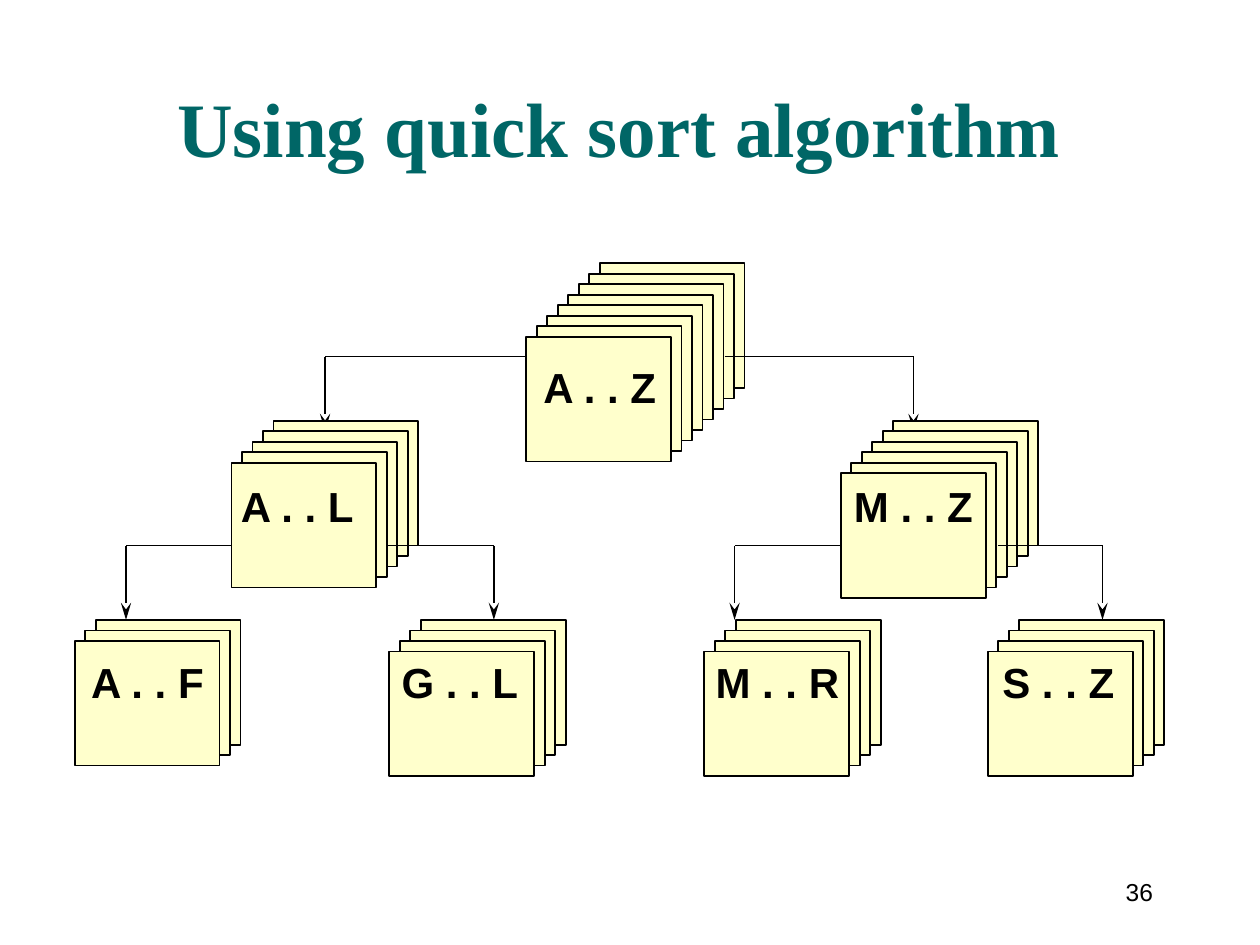
import dataclasses

import lxml.etree
import pptx
import pptx.dml.color
import pptx.enum.shapes
import pptx.enum.text
import pptx.oxml.ns
import pptx.util
from pptx.util import Inches

INK = "000000"
CARD_FILL = "FFFFCC"
TITLE_COLOUR = "006666"
CARD_WIDTH, CARD_HEIGHT = 1.15, 0.99
CARD_STEP = 1 / 12
LABEL_WIDTH, LABEL_HEIGHT = 1.4, 0.5
BRANCH_DROP = 0.59


@dataclasses.dataclass(frozen=True)
class Stack:
    """Cards running down and left from the rear card at left, top."""
    label: str
    left: float
    top: float
    cards: int
    label_centre: float


@dataclasses.dataclass(frozen=True)
class Branch:
    start: float
    end: float
    top: float


@dataclasses.dataclass(frozen=True)
class Level:
    label_middle: float
    stacks: tuple[Stack, ...]
    branches: tuple[Branch, ...] = ()


LEVELS = (
    Level(
        3.07,
        (Stack("A . . Z", 4.76, 2.09, 8, 4.76),),
        (Branch(4.17, 2.58, 2.83), Branch(5.75, 7.25, 2.83)),
    ),
    Level(
        4.01,
        (
            Stack("A . . L", 2.17, 3.34, 5, 2.36),
            Stack("M . . Z", 7.09, 3.34, 6, 7.25),
        ),
        (
            Branch(1.83, 1, 4.33),
            Branch(3.08, 3.92, 4.33),
            Branch(6.67, 5.83, 4.33),
            Branch(7.92, 8.75, 4.33),
        ),
    ),
    Level(
        5.41,
        (
            Stack("A . . F", 0.76, 4.92, 3, 1.17),
            Stack("G . . L", 3.34, 4.92, 4, 3.65),
            Stack("M . . R", 5.84, 4.92, 4, 6.17),
            Stack("S . . Z", 8.09, 4.92, 4, 8.4),
        ),
    ),
)


def colour(value: str) -> pptx.dml.color.RGBColor:
    return pptx.dml.color.RGBColor.from_string(value)


def write(frame, text: str, size: float, font: str, ink: str, bold: bool,
          align, anchor) -> None:
    frame.auto_size = pptx.enum.text.MSO_AUTO_SIZE.NONE
    frame.vertical_anchor = anchor
    para = frame.paragraphs[0]
    para.alignment = align
    span = para.add_run()
    span.text = text
    span.font.size = pptx.util.Pt(size)
    span.font.name = font
    span.font.bold = bold
    span.font.color.rgb = colour(ink)


def add_text(page, left: float, top: float, width: float, height: float,
             text: str, size: float, bold: bool, align) -> None:
    box = page.shapes.add_textbox(
        Inches(left), Inches(top), Inches(width), Inches(height))
    box.text_frame.word_wrap = False
    write(box.text_frame, text, size, "Arial", INK, bold, align,
          pptx.enum.text.MSO_ANCHOR.MIDDLE)


def draw_stack(page, stack: Stack) -> None:
    for index in range(stack.cards):
        offset = index * CARD_STEP
        card = page.shapes.add_shape(
            pptx.enum.shapes.MSO_SHAPE.RECTANGLE,
            Inches(stack.left - offset), Inches(stack.top + offset),
            Inches(CARD_WIDTH), Inches(CARD_HEIGHT))
        card.shadow.inherit = False
        card.fill.solid()
        card.fill.fore_color.rgb = colour(CARD_FILL)
        card.line.color.rgb = colour(INK)
        card.line.width = pptx.util.Pt(1)


def draw_line(page, start: tuple[float, float], end: tuple[float, float],
              arrow: bool = False) -> None:
    line = page.shapes.add_connector(
        pptx.enum.shapes.MSO_CONNECTOR.STRAIGHT,
        *map(Inches, start), *map(Inches, end))
    line.line.color.rgb = colour(INK)
    line.line.width = pptx.util.Pt(1)
    properties = line._element.spPr
    if arrow:
        lxml.etree.SubElement(
            properties.find(pptx.oxml.ns.qn("a:ln")),
            pptx.oxml.ns.qn("a:tailEnd"), type="stealth", w="med", len="lg")
    lxml.etree.SubElement(properties, pptx.oxml.ns.qn("a:effectLst"))


def draw_branch(page, branch: Branch) -> None:
    corner = (branch.end, branch.top)
    draw_line(page, (branch.start, branch.top), corner)
    draw_line(page, corner, (branch.end, branch.top + BRANCH_DROP), arrow=True)


def draw_level(page, level: Level) -> None:
    for stack in level.stacks:
        draw_stack(page, stack)
    for branch in level.branches:
        draw_branch(page, branch)
    for stack in level.stacks:
        add_text(page, stack.label_centre - LABEL_WIDTH / 2,
                 level.label_middle - LABEL_HEIGHT / 2,
                 LABEL_WIDTH, LABEL_HEIGHT, stack.label, 24, True,
                 pptx.enum.text.PP_ALIGN.CENTER)


def main() -> None:
    deck = pptx.Presentation()
    deck.slide_width, deck.slide_height = Inches(10), Inches(7.5)
    page = deck.slides.add_slide(deck.slide_layouts.get_by_name("Title Only"))

    title = page.shapes.title
    title.left, title.top = Inches(0), Inches(0.25)
    title.width, title.height = Inches(9.83), Inches(1.17)
    write(title.text_frame, "Using quick sort algorithm", 44,
          "Times New Roman", TITLE_COLOUR, True,
          pptx.enum.text.PP_ALIGN.CENTER, pptx.enum.text.MSO_ANCHOR.BOTTOM)

    for level in LEVELS:
        draw_level(page, level)
    add_text(page, 8.58, 6.83, 0.67, 0.5, "36", 14, False,
             pptx.enum.text.PP_ALIGN.RIGHT)
    deck.save("out.pptx")


if __name__ == "__main__":
    main()
